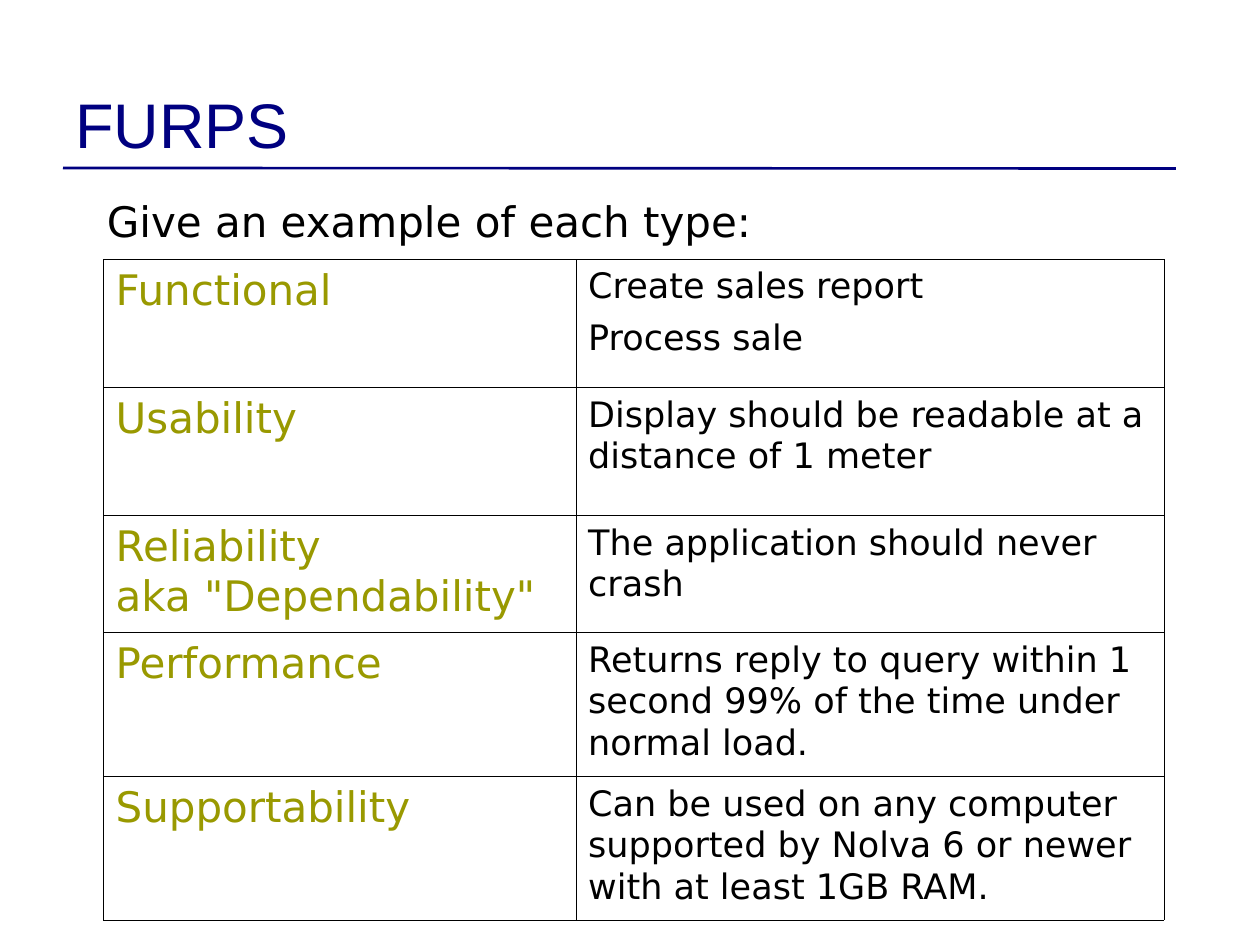
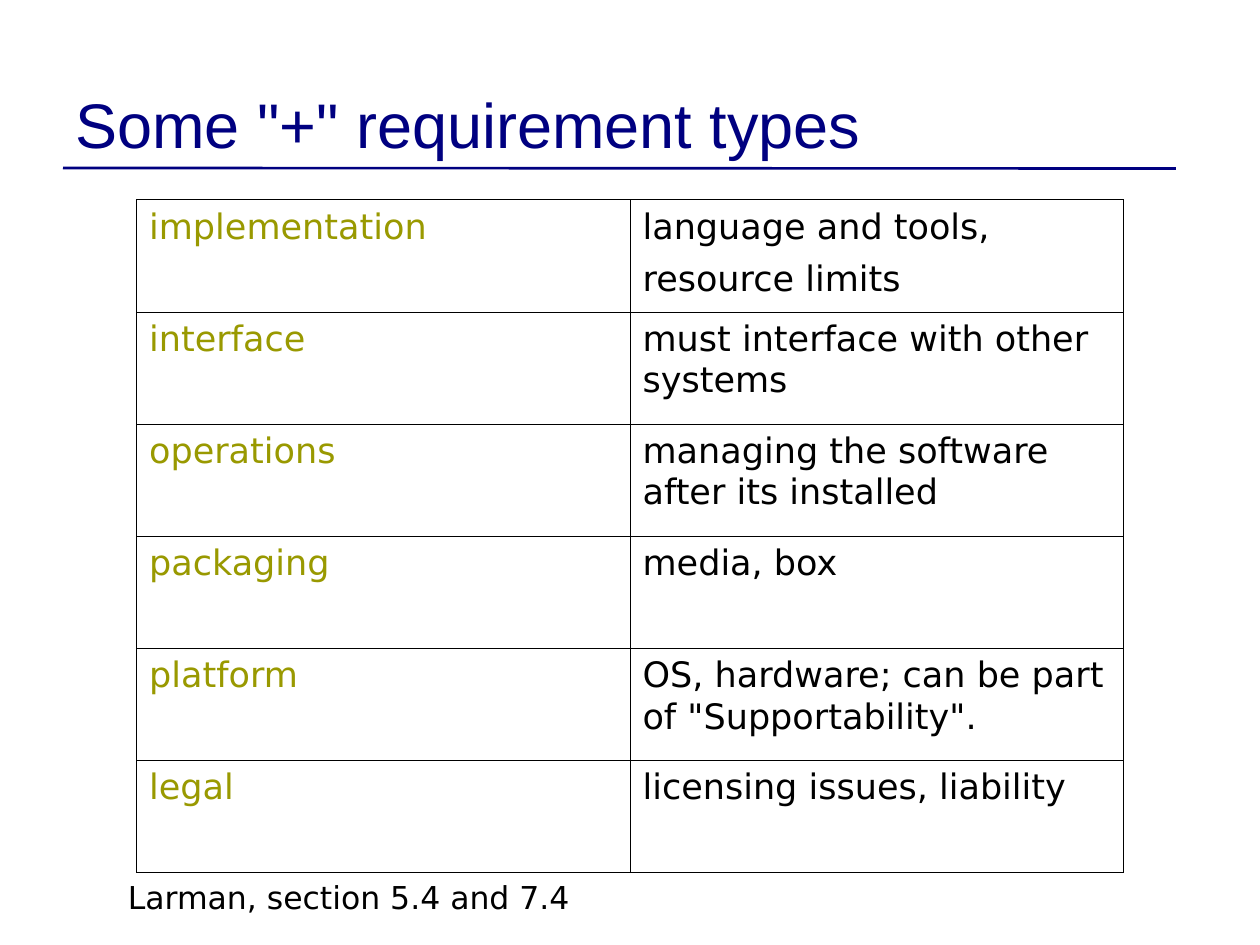
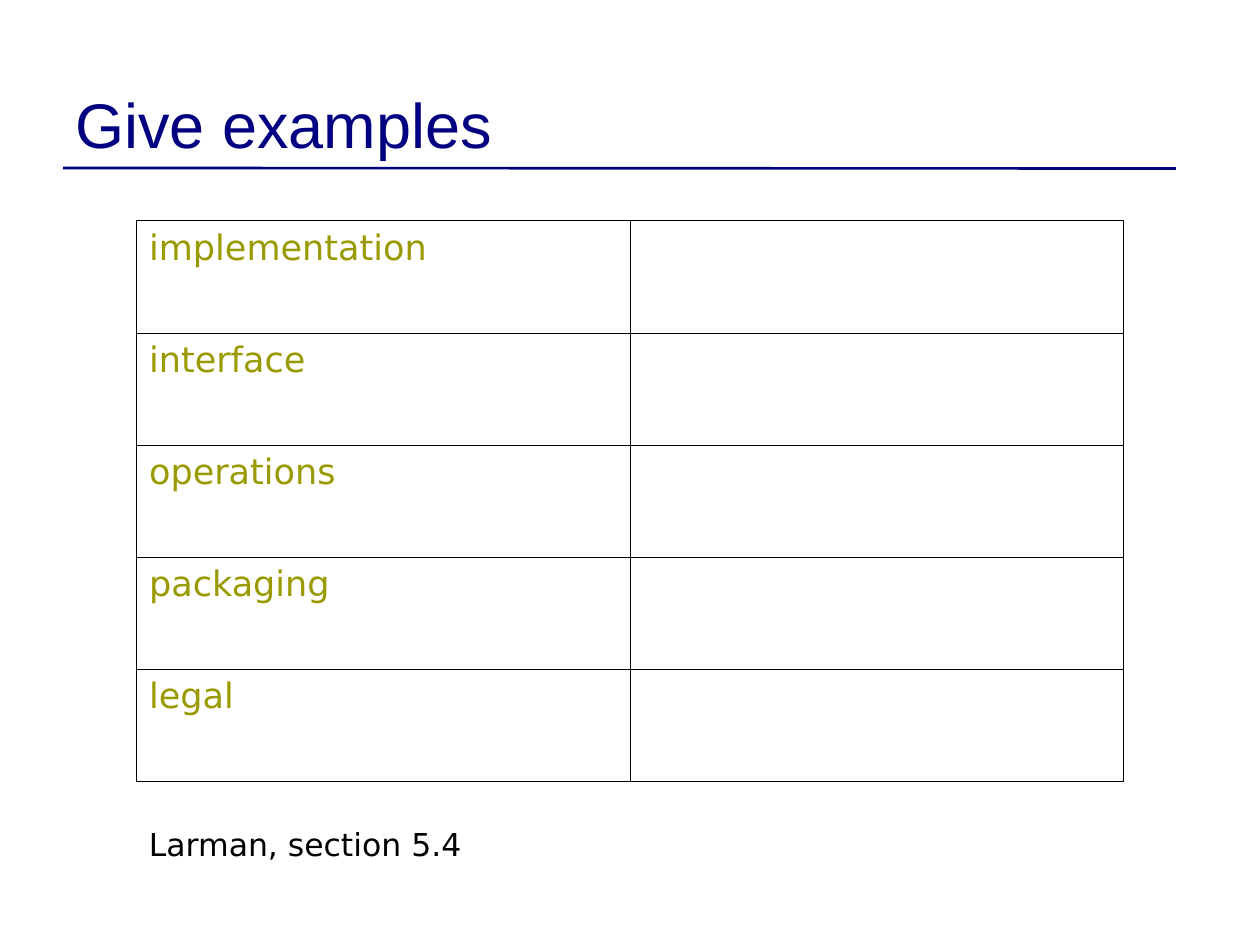
from pptx import Presentation
from pptx.dml.color import RGBColor
from pptx.enum.shapes import MSO_CONNECTOR as Conn
from pptx.enum.text import MSO_ANCHOR as Anchor
from pptx.oxml.ns import qn
from pptx.util import Inches, Pt
from lxml.etree import SubElement as sub

NAVY = RGBColor(0x00, 0x00, 0x80)
OLIVE = RGBColor(0x99, 0x99, 0x00)
BLACK = RGBColor(0x00, 0x00, 0x00)
WHITE = RGBColor(0xFF, 0xFF, 0xFF)
HEAD = "Arial"
BODY = "DejaVu Sans"
UNIT = Inches(10) / 120
EDGES = ("a:lnL", "a:lnR", "a:lnT", "a:lnB")
HAIR = Pt(0.06)

FURPS = [
    ("Functional", "Create sales report\nProcess sale"),
    ("Usability", "Display should be readable at a distance of 1 meter"),
    ("Reliability\vaka \"Dependability\"", "The application should never crash"),
    ("Performance", "Returns reply to query within 1 second 99% of the time under normal load."),
    ("Supportability", "Can be used on any computer supported by Nolva 6 or newer with at least 1GB RAM."),
]
PLUS = [
    ("implementation", "language and tools,\nresource limits"),
    ("interface", "must interface with other systems"),
    ("operations", "managing the software after its installed"),
    ("packaging", "media, box"),
    ("platform", "OS, hardware; can be part of \"Supportability\"."),
    ("legal", "licensing issues, liability"),
]
BLANKS = [(name, "") for name, _ in PLUS if name != "platform"]


def grid(*counts):
    return [round(count * UNIT) for count in counts]


def style(frame, size, color, font=BODY, before=0, leads=(None,)):
    for place, para in enumerate(frame.paragraphs):
        para.space_before = Pt(before)
        para.line_spacing = leads[min(place, len(leads) - 1)]
        for run in para.runs:
            run.font.size = Pt(size)
            run.font.name = font
            run.font.color.rgb = color


def add_text(slide, text, place, size, color=BLACK, font=BODY, anchor=Anchor.TOP, before=0):
    frame = slide.shapes.add_textbox(*grid(*place)).text_frame
    frame.word_wrap = True
    frame.vertical_anchor = anchor
    frame.text = text
    style(frame, size, color, font, before)


def add_rule(slide):
    rule = slide.shapes.add_connector(Conn.STRAIGHT, *grid(6, 16, 112, 16.05))
    rule.line.color.rgb = NAVY
    rule.line.width = Pt(1.5)
    sub(rule._element.spPr, qn("a:effectLst"))


def add_page(deck, title):
    slide = deck.slides.add_slide(deck.slide_layouts[6])
    add_rule(slide)
    add_text(slide, title, (6, 3.55, 108, 12.4), 36, NAVY, HEAD, Anchor.BOTTOM)
    return slide


def add_edges(cell):
    props = cell._tc.get_or_add_tcPr()
    for tag in EDGES:
        line = sub(props, qn(tag), w=str(HAIR))
        fill = sub(line, qn("a:solidFill"))
        sub(fill, qn("a:srgbClr"), val=str(BLACK))


def fill_cell(cell, text, size, color):
    add_edges(cell)
    cell.fill.solid()
    cell.fill.fore_color.rgb = WHITE
    cell.margin_left = cell.margin_right = Inches(0.1)
    cell.margin_top = cell.margin_bottom = Inches(0.05)
    cell.text = text
    style(cell.text_frame, size, color, before=size / 4, leads=(1.02, 1.06))


def add_grid(slide, data, left, top, cols, rows, size=20):
    place = grid(left, top, sum(cols), sum(rows))
    table = slide.shapes.add_table(len(data), len(cols), *place).table
    table.first_row = table.horz_banding = False
    for col, width in zip(table.columns, grid(*cols)):
        col.width = width
    for row, height, (name, note) in zip(table.rows, grid(*rows), data):
        row.height = height
        fill_cell(row.cells[0], name, size, OLIVE)
        fill_cell(row.cells[1], note, 20, BLACK)


def add_even(slide, data, top):
    add_grid(slide, data, 13, top, [47, 47], [10.68] * len(data))


def add_cite(slide, text, left, top):
    add_text(slide, text, (left, top, 67, 4.8), 18, before=11.2)


def main():
    deck = Presentation()
    deck.slide_width, deck.slide_height = grid(120, 90)

    slide = add_page(deck, "FURPS")
    add_text(slide, "Give an example of each type:", (9, 18, 105, 8), 24, before=6)
    add_grid(slide, FURPS, 9.82, 24.7, [45, 56], [12.2, 12.2, 11.15, 13.7, 13.7], 24)

    slide = add_page(deck, "Some \"+\" requirement types")
    add_even(slide, PLUS, 19)
    add_cite(slide, "Larman, section 5.4 and 7.4", 11, 83)

    slide = add_page(deck, "Give examples")
    add_even(slide, BLANKS, 21)
    add_cite(slide, "Larman, section 5.4", 13, 78)

    deck.save("out.pptx")


if __name__ == "__main__":
    main()
